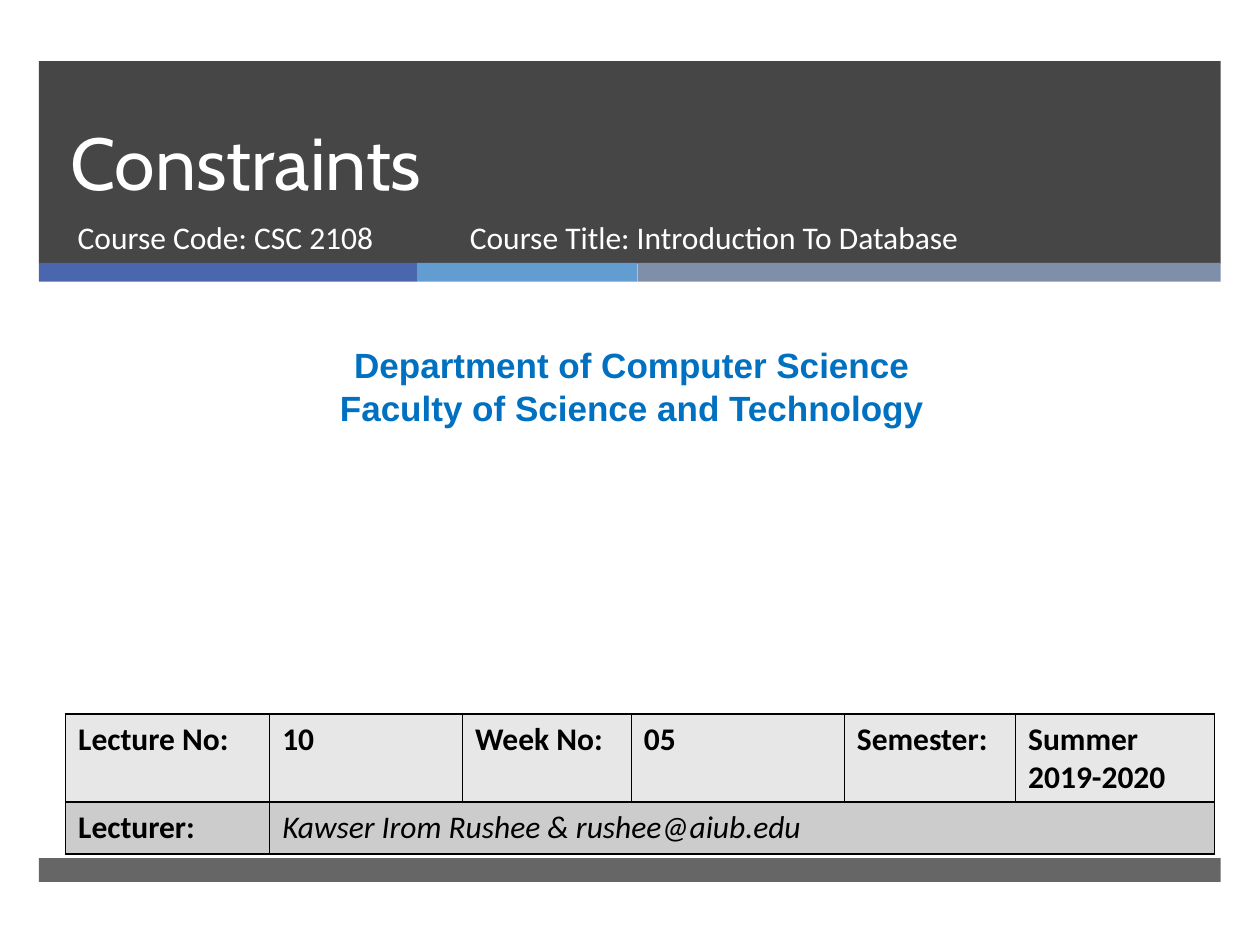
from lxml import etree
from pptx import Presentation
from pptx.dml.color import RGBColor
from pptx.enum.shapes import MSO_SHAPE
from pptx.enum.text import MSO_ANCHOR, PP_ALIGN
from pptx.oxml.ns import qn
from pptx.util import Pt

RECT = MSO_SHAPE.RECTANGLE
TOP, LOW = MSO_ANCHOR.TOP, MSO_ANCHOR.BOTTOM
LEFT, MID = PP_ALIGN.LEFT, PP_ALIGN.CENTER

THEME = {
    "dark": "262626", "white": "FFFFFF", "black": "000000", "head": "0070C0",
    "strip": ["4A66AC", "629DD1", "7F8FA9"], "rows": ["E7E7E7", "CCCCCC"],
    "title": ("Cabin", 42), "body": ("Calibri", 18), "dept": ("Arial", 20),
}

TITLE = ["Constraints"]
COURSE = ["Course Code: CSC 2108"]
NAME = ["Course Title: Introduction To Database"]
DEPT = ["Department of Computer Science", "Faculty of Science and Technology"]
TABLE = [
    ["Lecture No:", "10", "Week No:", "05", "Semester:", "Summer 2019-2020"],
    ["Lecturer:", "Kawser Irom Rushee & rushee@aiub.edu"],
]
COLS = [116.6, 110.2, 96.5, 121.7, 97.9, 113.8]
STRIP = [216, 126, 333.2]
EDGE, WIDE = 22.3, sum(STRIP)


def style(para, look, color, bold=False, slant=False):
    """Set the font of a paragraph."""
    font = para.font
    font.name, size = THEME[look]
    font.size = Pt(size)
    font.bold, font.italic = bold, slant
    font.color.rgb = RGBColor.from_string(THEME[color])


def band(slide, left, top, width, height, color, alpha=100):
    """Draw a plain bar, see-through when alpha is below 100."""
    bar = slide.shapes.add_shape(RECT, Pt(left), Pt(top), Pt(width), Pt(height))
    bar.shadow.inherit = False
    bar.line.fill.background()
    bar.fill.solid()
    bar.fill.fore_color.rgb = RGBColor.from_string(color)
    if alpha < 100:
        tone = bar.fill._xPr.find(".//" + qn("a:srgbClr"))
        etree.SubElement(tone, qn("a:alpha"), val=str(alpha * 1000))


def label(slide, lines, place, look, color, anchor=TOP, align=LEFT,
          bold=False, pitch=None):
    """Add a text box with one paragraph for each line."""
    box = slide.shapes.add_textbox(*map(Pt, place))
    frame = box.text_frame
    frame.word_wrap = True
    frame.vertical_anchor = anchor
    frame.text = "\n".join(lines)
    for para in frame.paragraphs:
        para.alignment = align
        if pitch:
            para.line_spacing = Pt(pitch)
        style(para, look, color, bold)


def border(cell):
    """Give a cell a thin line on all four sides."""
    props = cell._tc.get_or_add_tcPr()
    for side in ("lnL", "lnR", "lnT", "lnB"):
        line = etree.SubElement(props, qn("a:" + side), w=str(Pt(1)))
        fill = etree.SubElement(line, qn("a:solidFill"))
        etree.SubElement(fill, qn("a:srgbClr"), val=THEME["black"])


def grid(slide, left, top, height):
    """Add the lecture table, with the last row merged after its label."""
    count = len(TABLE)
    table = slide.shapes.add_table(
        count, len(COLS), Pt(left), Pt(top), Pt(sum(COLS)), Pt(height * count)
    ).table
    for col, width in zip(table.columns, COLS):
        col.width = Pt(width)
    for r, (texts, color) in enumerate(zip(TABLE, THEME["rows"])):
        table.rows[r].height = Pt(height)
        for c in range(len(COLS)):
            cell = table.cell(r, c)
            border(cell)
            cell.fill.solid()
            cell.fill.fore_color.rgb = RGBColor.from_string(color)
            if c < len(texts):
                cell.text = texts[c]
                slant = r == 1 and c == 1
                style(cell.text_frame.paragraphs[0], "body", "black", not slant, slant)
    table.cell(1, 1).merge(table.cell(1, len(COLS) - 1))


def main():
    """Build the title slide and save it."""
    deck = Presentation()
    deck.slide_width, deck.slide_height = Pt(720), Pt(540)
    slide = deck.slides.add_slide(deck.slide_layouts[6])

    band(slide, EDGE, 35, WIDE, 115.7, THEME["dark"], 85)
    for i, (width, color) in enumerate(zip(STRIP, THEME["strip"])):
        band(slide, EDGE + sum(STRIP[:i]), 150.2, width, 10.8, color)
    band(slide, EDGE, 490.3, WIDE, 13.7, THEME["dark"], 70)

    label(slide, TITLE, (33.3, 35.2, 615, 85.8), "title", "white", LOW, pitch=46)
    label(slide, COURSE, (37.3, 120.8, 219.6, 38), "body", "white")
    label(slide, DEPT, (5.8, 193, 710.6, 55.7), "dept", "head", align=MID, bold=True)
    grid(slide, 37.5, 408, 29.5)
    label(slide, NAME, (261.4, 121.2, 327.6, 38), "body", "white")
    deck.save("out.pptx")


if __name__ == "__main__":
    main()
